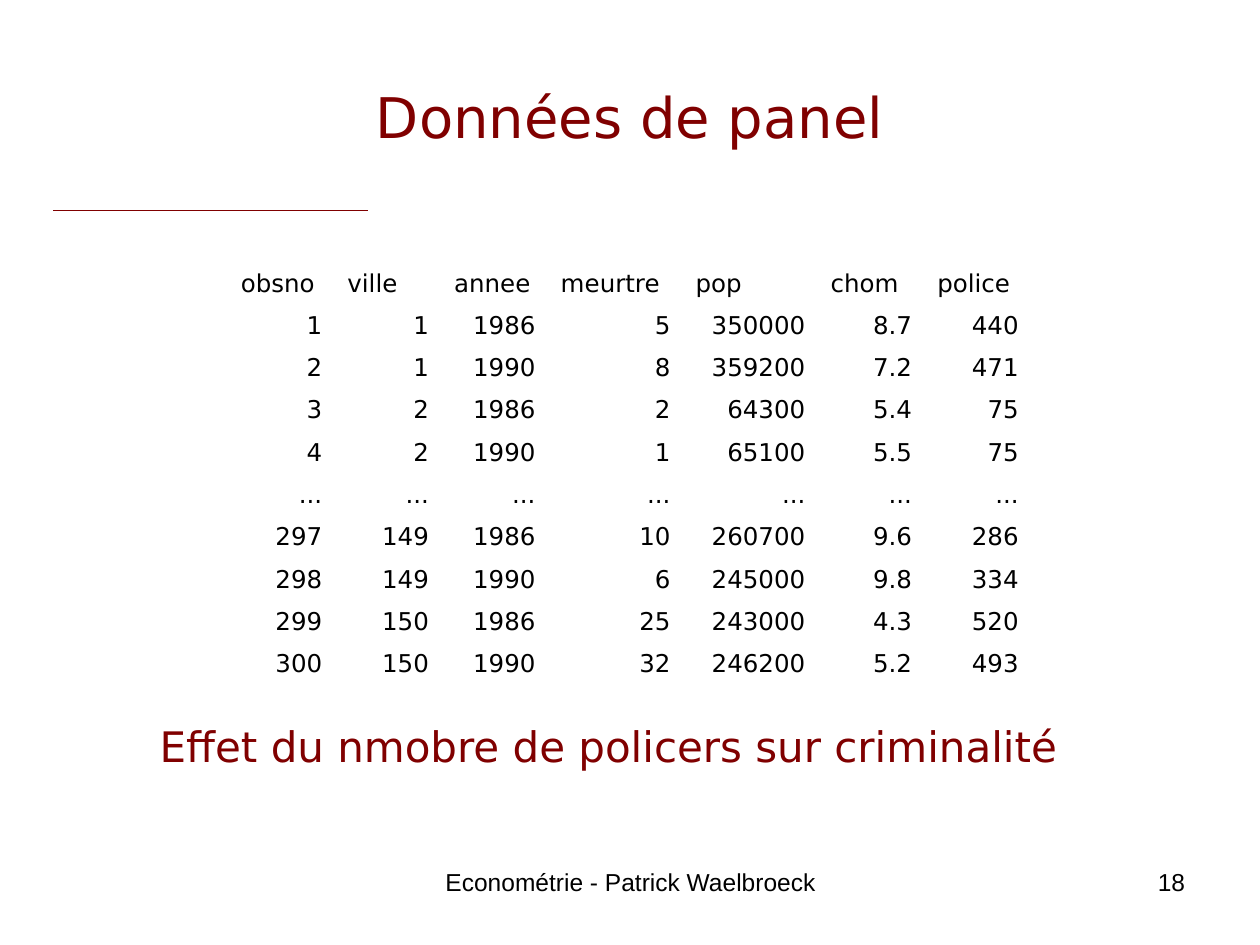
"""Build the panel data slide: title, rule, data table, caption and footer."""
from dataclasses import dataclass

import pptx
import pptx.dml.color
import pptx.enum.shapes
import pptx.enum.text
import pptx.oxml.ns
import pptx.util
from lxml import etree

Cm = pptx.util.Cm
Pt = pptx.util.Pt
ALIGN = pptx.enum.text.PP_ALIGN
ANCHOR = pptx.enum.text.MSO_ANCHOR


@dataclass(frozen=True)
class Theme:
    accent = pptx.dml.color.RGBColor.from_string("800000")
    ink = pptx.dml.color.RGBColor.from_string("000000")
    body_font = "DejaVu Sans"
    footer_font = "Arial"
    title_size = Pt(32)
    caption_size = Pt(24)
    small_size = Pt(14)
    rule_width = Pt(0.75)


theme = Theme()


def write(tf, text, size, color, font, align):
    tf.text = text
    p = tf.paragraphs[0]
    p.alignment = align
    r = p.runs[0]
    r.font.size = size
    r.font.name = font
    r.font.color.rgb = color


prs = pptx.Presentation()
prs.slide_width, prs.slide_height = Cm(25.4), Cm(19.05)
s = prs.slides.add_slide(prs.slide_layouts[6])

texts = [
    ("Données de panel", (1.27, 0.76, 22.86, 3.18), theme.title_size,
     theme.accent, theme.body_font, ALIGN.CENTER, ANCHOR.MIDDLE),
    ("Effet du nmobre de policers sur criminalité", (2.97, 14.4, 19.69, 1.27),
     theme.caption_size, theme.accent, theme.body_font, ALIGN.LEFT, ANCHOR.TOP),
    ("Econométrie - Patrick Waelbroeck", (8.69, 17.35, 8.05, 1.32),
     theme.small_size, theme.ink, theme.footer_font, ALIGN.CENTER, ANCHOR.TOP),
    ("18", (18.21, 17.35, 5.93, 1.32), theme.small_size,
     theme.ink, theme.footer_font, ALIGN.RIGHT, ANCHOR.TOP),
]
for text, box, size, color, font, align, anchor in texts:
    tf = s.shapes.add_textbox(*map(Cm, box)).text_frame
    tf.word_wrap = True
    tf.vertical_anchor = anchor
    write(tf, text, size, color, font, align)

rule = s.shapes.add_connector(
    pptx.enum.shapes.MSO_CONNECTOR.STRAIGHT, Cm(1.07), Cm(4.24), Cm(7.42), Cm(4.24))
rule.line.color.rgb = theme.accent
rule.line.width = theme.rule_width
etree.SubElement(rule._element.spPr, pptx.oxml.ns.qn("a:effectLst"))

rows = [
    ("obsno", "ville", "annee", "meurtre", "pop", "chom", "police"),
    ("1", "1", "1986", "5", "350000", "8.7", "440"),
    ("2", "1", "1990", "8", "359200", "7.2", "471"),
    ("3", "2", "1986", "2", "64300", "5.4", "75"),
    ("4", "2", "1990", "1", "65100", "5.5", "75"),
    ("...",) * 7,
    ("297", "149", "1986", "10", "260700", "9.6", "286"),
    ("298", "149", "1990", "6", "245000", "9.8", "334"),
    ("299", "150", "1986", "25", "243000", "4.3", "520"),
    ("300", "150", "1990", "32", "246200", "5.2", "493"),
]
widths = [2.15, 2.15, 2.15, 2.72, 2.72, 2.15, 2.15]
height = 8.53
table = s.shapes.add_table(
    len(rows), len(widths), Cm(4.6), Cm(5.28), Cm(sum(widths)), Cm(height)).table
table.first_row = table.horz_banding = False
for column, width in zip(table.columns, widths):
    column.width = Cm(width)
for i, values in enumerate(rows):
    for j, value in enumerate(values):
        cell = table.cell(i, j)
        cell.fill.background()
        cell.vertical_anchor = ANCHOR.BOTTOM
        write(cell.text_frame, value, theme.small_size, theme.ink,
              theme.body_font, ALIGN.RIGHT if i else ALIGN.LEFT)

prs.save("out.pptx")
